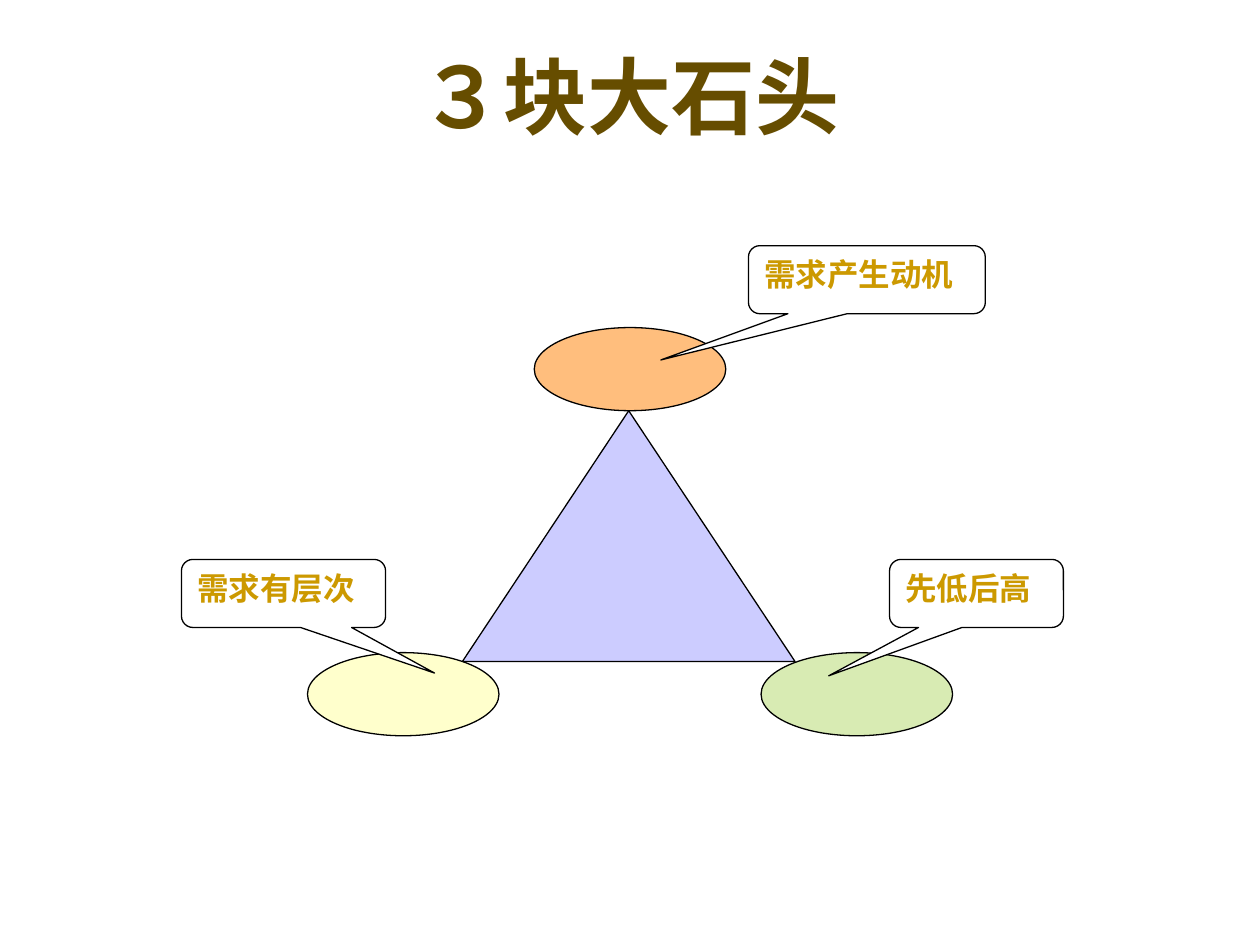
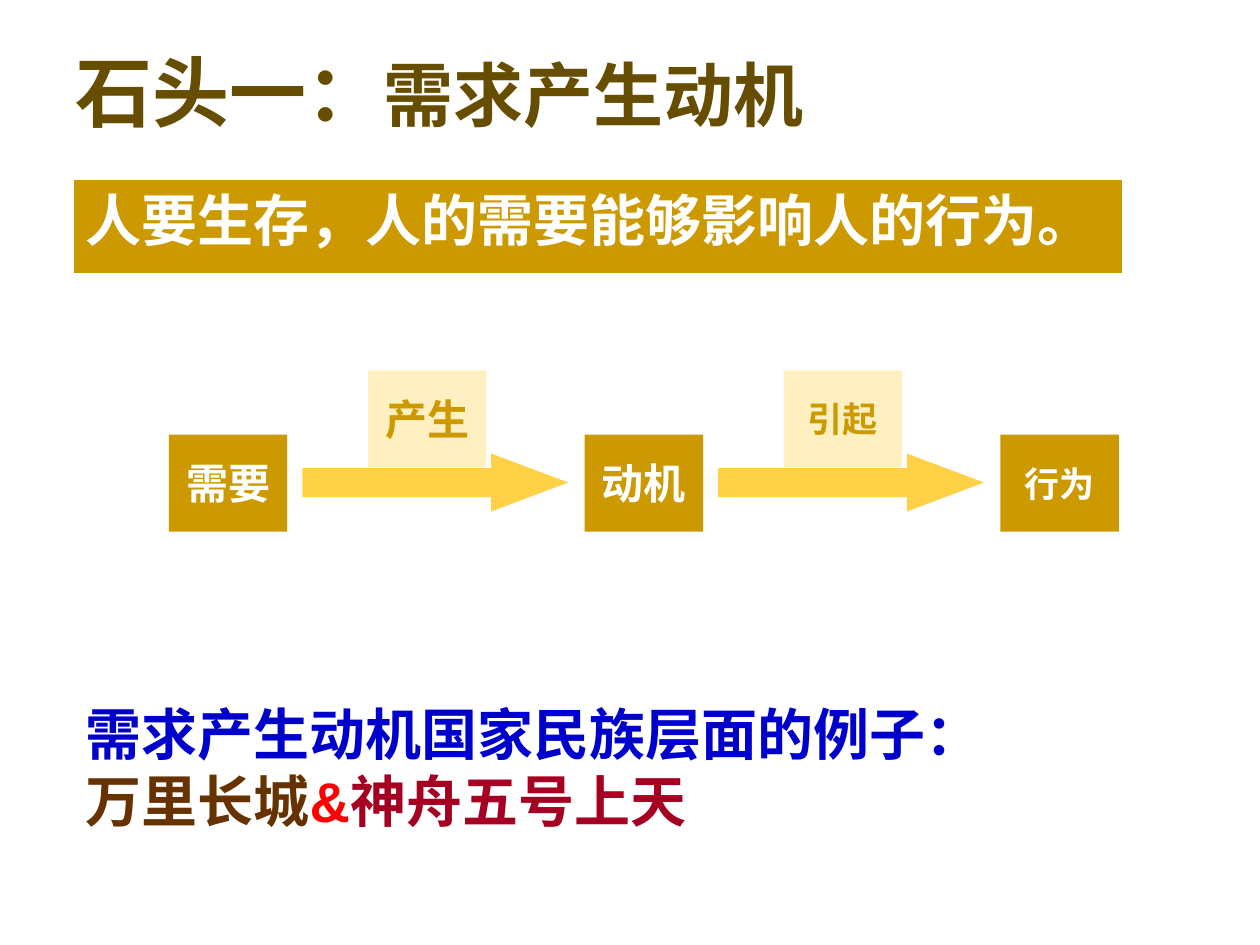
"""Build two slides on how needs lead to motives and behaviour."""
from dataclasses import dataclass

from pptx import Presentation
from pptx import util as u
from pptx.dml.color import RGBColor
from pptx.enum import shapes, text

KIND = shapes.MSO_SHAPE
ALIGN = text.PP_ALIGN
ANCHOR = text.MSO_ANCHOR


@dataclass(frozen=True)
class Theme:
    """Colours, fonts and type sizes shared by the slides."""
    title_font: str = "DejaVu Sans"
    body_font: str = "Arial"
    brown: str = "664D00"
    gold: str = "CC9900"
    amber: str = "FFD147"
    cream: str = "FFF0C2"
    white: str = "FFFFFF"
    black: str = "000000"
    lilac: str = "CCCCFF"
    lemon: str = "FFFFCC"
    orange: str = "FFBE7D"
    green: str = "D8EBB3"
    blue: str = "0000CC"
    earth: str = "663300"
    red: str = "FF0000"
    crimson: str = "A50021"
    heading: int = 48
    lead: int = 44
    sublead: int = 40
    body: int = 32
    step: int = 24
    small_step: int = 20
    note: int = 18
    line: float = 0.75


class Deck:
    """Draws styled elements on a grid of 100 columns by 75 rows."""

    def __init__(self, theme):
        """Start an empty deck of 10 by 7.5 inches."""
        self.theme = theme
        self.file = Presentation()
        self.file.slide_width = u.Inches(10)
        self.file.slide_height = u.Inches(7.5)
        self.column = self.file.slide_width / 100
        self.row = self.file.slide_height / 75
        self.slide = None

    def box(self, left, top, width, height):
        """Turn grid columns and rows into lengths."""
        return [u.Emu(round(n * unit)) for n, unit in
                zip((left, top, width, height), (self.column, self.row) * 2)]

    def style(self, font, size=None, color=None, name=None):
        """Make a font bold and set what is given."""
        font.bold = True
        if size:
            font.size = u.Pt(size)
        if color:
            font.color.rgb = RGBColor.from_string(color)
        if name:
            font.name = name

    def add_slide(self, parts, align):
        """Add a slide whose title is made of (wording, size) parts."""
        self.slide = self.file.slides.add_slide(self.file.slide_layouts[5])
        title = self.slide.shapes.title
        title.left, title.top, title.width, title.height = self.box(5, 3, 90, 12.5)
        frame = title.text_frame
        frame.auto_size = text.MSO_AUTO_SIZE.NONE
        frame.vertical_anchor = ANCHOR.TOP
        paragraph = frame.paragraphs[0]
        paragraph.alignment = align
        self.style(paragraph.font, None, self.theme.brown, self.theme.title_font)
        for wording, size in parts:
            run = paragraph.add_run()
            run.text = wording
            self.style(run.font, size, self.theme.brown, self.theme.title_font)

    def shape(self, kind, place, fill, line=None, adjust=()):
        """Add a flat preset shape."""
        shape = self.slide.shapes.add_shape(kind, *self.box(*place))
        shape.shadow.inherit = False
        shape.fill.solid()
        shape.fill.fore_color.rgb = RGBColor.from_string(fill)
        if line:
            shape.line.color.rgb = RGBColor.from_string(line)
            shape.line.width = u.Pt(self.theme.line)
        else:
            shape.line.fill.background()
        for i, value in enumerate(adjust):
            shape.adjustments[i] = value
        return shape

    def label(self, shape, wording, size, color, align=ALIGN.CENTER, anchor=ANCHOR.MIDDLE):
        """Write one paragraph in a shape."""
        frame = shape.text_frame
        frame.word_wrap = True
        frame.vertical_anchor = anchor
        paragraph = frame.paragraphs[0]
        paragraph.text = wording
        paragraph.alignment = align
        self.style(paragraph.font, size, color, self.theme.body_font)

    def callout(self, wording, place, tip):
        """Add a white speech bubble pointing at tip."""
        bubble = self.shape(KIND.ROUNDED_RECTANGULAR_CALLOUT, place,
                            self.theme.white, self.theme.black, (*tip, 0.167))
        self.label(bubble, wording, self.theme.note, self.theme.gold,
                   ALIGN.JUSTIFY, ANCHOR.TOP)

    def step(self, wording, left, top, size, fill, color):
        """Add a box of the chain."""
        self.label(self.shape(KIND.RECTANGLE, (left, top, 9.4, 7.7), fill),
                   wording, size, color)

    def passage(self, place, lines):
        """Add a text box with lines of (wording, colour) parts."""
        frame = self.slide.shapes.add_textbox(*self.box(*place)).text_frame
        frame.word_wrap = True
        for i, parts in enumerate(lines):
            paragraph = frame.add_paragraph() if i else frame.paragraphs[0]
            self.style(paragraph.font, self.theme.body, None, self.theme.body_font)
            for wording, color in parts:
                run = paragraph.add_run()
                run.text = wording
                self.style(run.font, None, color)


def stones(deck):
    """Draw the triangle resting on three stones."""
    t = deck.theme
    deck.add_slide([("３块大石头", t.heading)], ALIGN.CENTER)
    deck.shape(KIND.ISOSCELES_TRIANGLE, (36.7, 32.6, 26.4, 19.9), t.lilac, t.black)
    for i, (top, fill) in enumerate([(51.8, t.lemon), (26, t.orange), (51.8, t.green)]):
        deck.shape(KIND.OVAL, (24.4 + 18 * i, top, 15.2, 6.6), fill, t.black)
    for wording, left, top, width, tip in [
            ("需求产生动机", 59.4, 19.5, 18.8, (-0.87, 1.18)),
            ("需求有层次", 14.4, 44.4, 16.2, (0.74, 1.17)),
            ("先低后高", 70.6, 44.4, 13.8, (-0.85, 1.21))]:
        deck.callout(wording, (left, top, width, 5.4), tip)


def first_stone(deck):
    """Draw the chain from need to behaviour and its examples."""
    t = deck.theme
    deck.add_slide([("石头一：", t.lead), ("需求产生动机", t.sublead)], ALIGN.LEFT)
    band = deck.shape(KIND.RECTANGLE, (5.8, 14.2, 83.3, 7.5), t.gold, t.white)
    deck.label(band, "人要生存，人的需要能够影响人的行为。", t.body, t.white,
               ALIGN.LEFT, ANCHOR.TOP)
    deck.passage((5.8, 55, 86.7, 11.8), [
        [("需求产生动机国家民族层面的例子：", t.blue)],
        [("万里长城", t.earth), ("&", t.red), ("神舟五号上天", t.crimson)]])
    start, pitch = 13.4, 33
    for i, (wording, size) in enumerate([
            ("需要", t.step), ("动机", t.step), ("行为", t.small_step)]):
        deck.step(wording, start + pitch * i, 34.5, size, t.gold, t.white)
    for i, (wording, size) in enumerate([("产生", t.step), ("引起", t.small_step)]):
        left = start + pitch * i
        deck.shape(KIND.RIGHT_ARROW, (left + 10.6, 36, 21.1, 4.6), t.amber,
                   adjust=(0.5, 1.33))
        deck.step(wording, left + 15.8, 29.4, size, t.cream, t.gold)


def main():
    """Build and save the slides."""
    deck = Deck(Theme())
    stones(deck)
    first_stone(deck)
    deck.file.save("out.pptx")


main()
